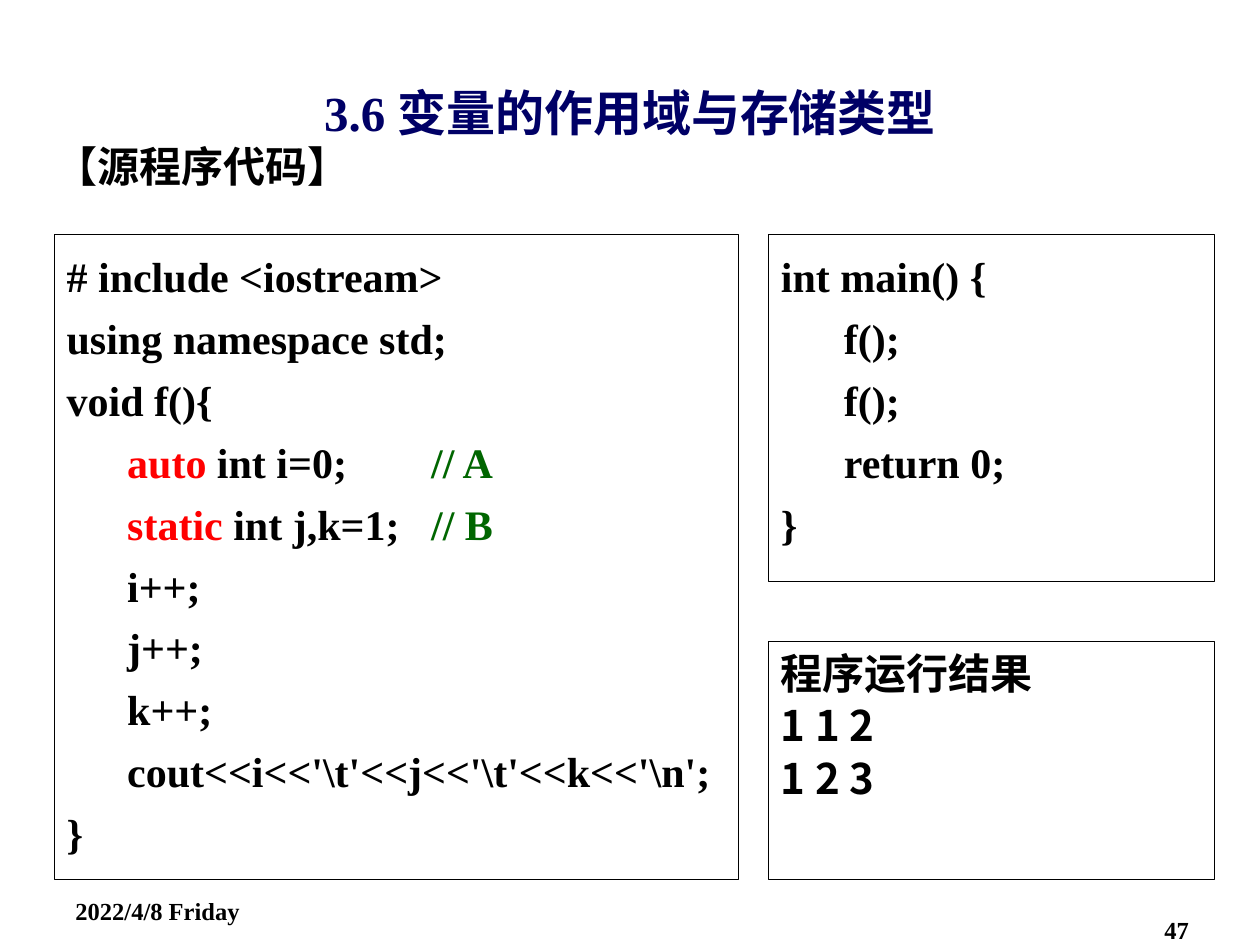
"""Build the slide on variable scope and storage classes."""
from dataclasses import dataclass

from pptx import Presentation
from pptx.dml.color import RGBColor
from pptx.enum.shapes import MSO_SHAPE
from pptx.enum.text import MSO_ANCHOR, PP_ALIGN
from pptx.util import Pt

RECTANGLE = MSO_SHAPE.RECTANGLE
TOP, MIDDLE = MSO_ANCHOR.TOP, MSO_ANCHOR.MIDDLE
LEFT, CENTER, RIGHT = PP_ALIGN.LEFT, PP_ALIGN.CENTER, PP_ALIGN.RIGHT


@dataclass(frozen=True)
class Theme:
    """Colours, fonts and sizes of the slide."""
    ink: RGBColor = RGBColor(0, 0, 0)
    title: RGBColor = RGBColor(0, 0, 0x66)
    keyword: RGBColor = RGBColor(0xFF, 0, 0)
    comment: RGBColor = RGBColor(0, 0x66, 0)
    serif: str = "Times New Roman"
    sans: str = "Noto Sans CJK SC"
    title_size: float = 28
    body_size: float = 24
    footer_size: float = 14
    border: float = 0.75


THEME = Theme()


@dataclass(frozen=True)
class Span:
    """A piece of text with its colour."""
    text: str
    color: RGBColor = THEME.ink


@dataclass(frozen=True)
class Line:
    """A paragraph made of spans, with an indent level."""
    spans: tuple[Span, ...]
    level: int = 0


@dataclass(frozen=True)
class Block:
    """A text area with its place and paragraph style."""
    left: float
    top: float
    width: float
    height: float
    lines: tuple[Line, ...]
    size: float = THEME.body_size
    font: str = THEME.serif
    align: PP_ALIGN = LEFT
    anchor: MSO_ANCHOR = TOP
    framed: bool = False
    spacing: float = 1.0
    before: float = 0
    inset: float = 3.6
    indent: float = 0
    hanging: float = 0


def plain(text: str, level: int = 0, color: RGBColor = THEME.ink) -> Line:
    """Return a line in one colour."""
    return Line((Span(text, color),), level)


def declaration(keyword: str, rest: str, comment: str) -> Line:
    """Return an indented declaration with a marked keyword and comment."""
    return Line((Span(keyword, THEME.keyword), Span(rest),
                 Span(comment, THEME.comment)), 1)


def draw_line(para, line: Line, block: Block, first: bool) -> None:
    """Fill one paragraph."""
    para.alignment = block.align
    para.level = line.level
    para.line_spacing = block.spacing
    para.space_before = Pt(0 if first else block.before)
    if line.level:
        properties = para._p.get_or_add_pPr()
        properties.set("marL", str(Pt(block.indent + block.hanging)))
        properties.set("indent", str(-Pt(block.hanging)))
    para.font.name = block.font
    para.font.size = Pt(block.size)
    para.font.bold = True
    para.font.color.rgb = line.spans[0].color if len(line.spans) == 1 else THEME.ink
    for span in line.spans:
        run = para.add_run()
        run.text = span.text
        if len(line.spans) > 1:
            run.font.color.rgb = span.color


def draw_block(page, block: Block) -> None:
    """Draw a text area, framed or bare."""
    place = [Pt(v) for v in (block.left, block.top, block.width, block.height)]
    if block.framed:
        box = page.shapes.add_shape(RECTANGLE, *place)
        box.shadow.inherit = False
        box.fill.background()
        box.line.color.rgb = THEME.ink
        box.line.width = Pt(THEME.border)
    else:
        box = page.shapes.add_textbox(*place)
    frame = box.text_frame
    frame.word_wrap = True
    frame.vertical_anchor = block.anchor
    frame.margin_top = Pt(block.inset)
    for index, line in enumerate(block.lines):
        para = frame.add_paragraph() if index else frame.paragraphs[0]
        draw_line(para, line, block, index == 0)


FUNCTION_CODE = (
    plain("# include <iostream>"),
    plain("using namespace std;"),
    plain("void f(){"),
    declaration("auto", " int i=0;        ", "// A"),
    declaration("static", " int j,k=1;   ", "// B"),
    *(plain(text, 1) for text in
      ("i++;", "j++;", "k++;", r"cout<<i<<'\t'<<j<<'\t'<<k<<'\n';")),
    plain("}"),
)
MAIN_CODE = (
    plain("int main() {"),
    *(plain(text, 1) for text in ("f();", "f();", "return 0;")),
    plain("}"),
)
RESULT = tuple(plain(text) for text in ("程序运行结果", "1 1 2", "1 2 3"))

BLOCKS = (
    Block(36, 508.3, 168, 21, (plain("2022/4/8 Friday"),), THEME.footer_size),
    Block(518.4, 519.1, 168, 21, (plain("47"),), THEME.footer_size, align=RIGHT),
    Block(36, 39, 648, 50, (plain("3.6 变量的作用域与存储类型", color=THEME.title),),
          THEME.title_size, align=CENTER, anchor=MIDDLE),
    Block(24.5, 77, 669.6, 45.4, (plain("【源程序代码】"),)),
    Block(31, 134, 391, 368.6, FUNCTION_CODE, framed=True, spacing=1.1,
          before=3.7, inset=6.3, indent=34.6, hanging=21.6),
    Block(439.2, 134, 255, 198.4, MAIN_CODE, framed=True, spacing=1.1,
          before=3.7, inset=6.3, indent=36, hanging=22.3),
    Block(439.2, 366.4, 255, 136.2, RESULT, font=THEME.sans, framed=True,
          before=1.2),
)


def main() -> None:
    """Build and save the deck."""
    deck = Presentation()
    deck.slide_width, deck.slide_height = Pt(720), Pt(540)
    page = deck.slides.add_slide(deck.slide_layouts[6])
    for block in BLOCKS:
        draw_block(page, block)
    deck.save("out.pptx")


if __name__ == "__main__":
    main()
